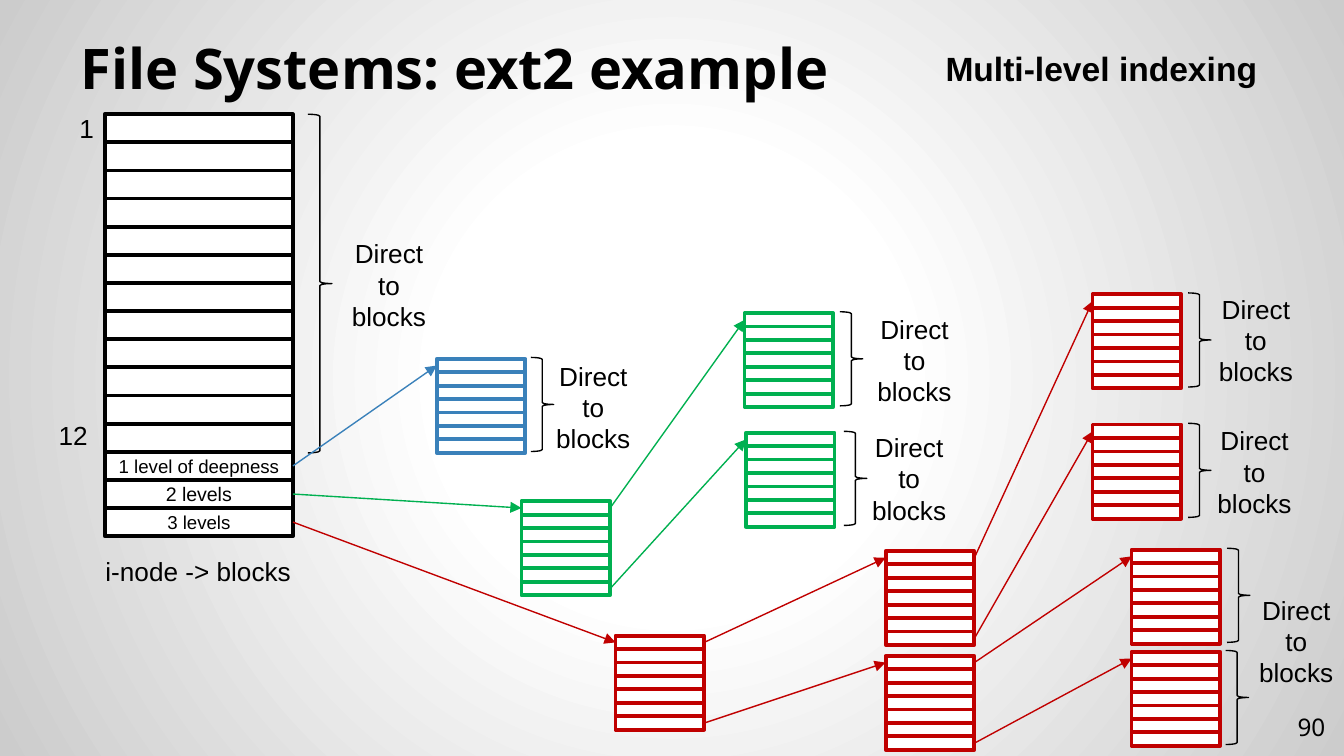
from dataclasses import dataclass
from typing import Any, Optional

import lxml.etree
import pptx
import pptx.dml.color
import pptx.enum.shapes
import pptx.enum.text
import pptx.oxml
import pptx.oxml.ns
import pptx.util

# The slide is a grid of 100 columns; rows are as high as columns are wide.
WIDE = pptx.util.Inches(10)
HIGH = WIDE * 9 // 16
CELL = WIDE / 100

KIND = pptx.enum.shapes.MSO_SHAPE
ALIGN = pptx.enum.text.PP_ALIGN
ANCHOR = pptx.enum.text.MSO_ANCHOR
FIT = pptx.enum.text.MSO_AUTO_SIZE


@dataclass(frozen=True)
class Theme:
    ink: str = "000000"
    paper: str = "FFFFFF"
    edge: str = "CCCCCC"
    blue: str = "3A81BA"
    green: str = "00B050"
    red: str = "C00000"
    body: str = "Arial"
    head: str = "Noto Sans"
    title: float = 30
    topic: float = 18
    note: float = 14
    page: float = 13
    label: float = 10
    thick: float = 2
    thin: float = 0.75


LOOK = Theme()


@dataclass(frozen=True)
class Box:
    col: float
    row: float
    cols: float
    rows: float


@dataclass(frozen=True)
class Node:
    """An index block, the parent row that points to it, and its brace column."""
    name: str
    col: float
    row: float
    hue: str
    source: str
    slot: int
    brace: Optional[float] = None


@dataclass(frozen=True)
class Label:
    text: str
    box: Box
    size: float = LOOK.note
    bold: bool = False


INODE = Box(7.8, 8.5, 14, 31.4)
LEVELS = {12: ("1 level of deepness", 10), 13: ("2 levels", 10.5), 14: ("3 levels", 10)}
BLOCK = Box(0, 0, 6.6, 7)

NODES = [
    Node("single", 32.5, 26.7, LOOK.blue, "inode", 12, 39.5),
    Node("double", 38.8, 37.3, LOOK.green, "inode", 13),
    Node("triple", 45.8, 47.3, LOOK.red, "inode", 14),
    Node("double a", 55.4, 23.3, LOOK.green, "double", 0, 62.5),
    Node("double b", 55.5, 32.2, LOOK.green, "double", 6, 62.8),
    Node("triple a", 65.9, 41, LOOK.red, "triple", 0),
    Node("triple b", 65.9, 48.8, LOOK.red, "triple", 6),
    Node("leaf a", 81.3, 21.9, LOOK.red, "triple a", 0, 88.4),
    Node("leaf b", 81.3, 31.6, LOOK.red, "triple a", 6, 88.4),
    Node("leaf c", 84.2, 40.9, LOOK.red, "triple b", 0, 91.3),
    Node("leaf d", 84.2, 48.5, LOOK.red, "triple b", 6, 91.2),
]

SPOTS = [(24.6, 17.2), (39.8, 26.3), (63.7, 22.8), (63.3, 31.6),
         (89.1, 21.3), (89, 31.1), (92.1, 43.7)]
LABELS = [
    Label("Multi-level indexing", Box(68.9, 3.1, 26.1, 4), LOOK.topic, True),
    Label("i-node -> blocks", Box(4.2, 40.8, 21.1, 3.4)),
    Label("1", Box(4.8, 7.9, 3.3, 3.4)),
    Label("12", Box(2.8, 30.7, 5.3, 3.4)),
    *(Label("Direct to blocks", Box(col, row, 8.7, 8.1)) for col, row in SPOTS),
]


def rgb(code: str) -> pptx.dml.color.RGBColor:
    return pptx.dml.color.RGBColor.from_string(code)


def frame(box: Box) -> list[int]:
    """Turn grid units into left, top, width and height."""
    return [round(part * CELL) for part in (box.col, box.row, box.cols, box.rows)]


def write(shape: Any, text: str, size: float, align: Any = ALIGN.CENTER,
          face: str = LOOK.body, bold: bool = False) -> None:
    shape.text_frame.text = text
    line = shape.text_frame.paragraphs[0]
    line.alignment = align
    font = line.runs[0].font
    font.name, font.size, font.bold = face, pptx.util.Pt(size), bold
    font.color.rgb = rgb(LOOK.ink)


def pad(shape: Any, anchor: Any) -> None:
    """Give a text frame equal insets and a fixed size."""
    text = shape.text_frame
    text.word_wrap, text.auto_size = True, FIT.NONE
    text.vertical_anchor = anchor
    text.margin_left = text.margin_right = round(CELL)
    text.margin_top = text.margin_bottom = round(CELL)


def paint(slide: Any) -> None:
    """Fill the background with a round gradient."""
    fill = slide.background.fill
    fill.gradient()
    tag = pptx.oxml.ns.qn("a:gradFill")
    old = next(slide.element.iter(tag))
    stops = "".join(f'<a:gs pos="{pos}000"><a:srgbClr val="{hue}"/></a:gs>' for pos, hue in
                    ((0, LOOK.paper), (30, LOOK.paper), (100, LOOK.edge)))
    new = pptx.oxml.parse_xml(
        f'<a:gradFill {pptx.oxml.ns.nsdecls("a")} rotWithShape="1"><a:gsLst>{stops}</a:gsLst>'
        '<a:path path="circle"><a:fillToRect l="50000" t="50000" r="50000" b="50000"/>'
        '</a:path></a:gradFill>')
    old.getparent().replace(old, new)


def stack(slide: Any, box: Box, count: int, hue: str) -> list[Any]:
    """Draw a group of equal rows and return them."""
    group = slide.shapes.add_group_shape()
    step = box.rows / count
    rows = []
    for index in range(count):
        place = Box(box.col, box.row + index * step, box.cols, step)
        row = group.shapes.add_shape(KIND.RECTANGLE, *frame(place))
        row.shadow.inherit = False
        row.fill.solid()
        row.fill.fore_color.rgb = rgb(LOOK.paper)
        row.line.color.rgb = rgb(hue)
        row.line.width = pptx.util.Pt(LOOK.thick)
        rows.append(row)
    return rows


def brace(slide: Any, box: Box) -> None:
    shape = slide.shapes.add_shape(KIND.RIGHT_BRACE, *frame(box))
    shape.shadow.inherit = False
    shape.fill.background()
    shape.line.color.rgb = rgb(LOOK.ink)
    shape.line.width = pptx.util.Pt(LOOK.thin)


def arrow(slide: Any, start: Any, end: Any, hue: str) -> None:
    link = slide.shapes.add_connector(pptx.enum.shapes.MSO_CONNECTOR.STRAIGHT, 0, 0, 0, 0)
    link.begin_connect(start, 3)
    link.end_connect(end, 1)
    link.line.color.rgb = rgb(hue)
    link.line.width = pptx.util.Pt(LOOK.thin)
    qn = pptx.oxml.ns.qn
    lxml.etree.SubElement(link.line._get_or_add_ln(), qn("a:tailEnd"), type="triangle")
    lxml.etree.SubElement(link._element.spPr, qn("a:effectLst"))


def main() -> None:
    deck = pptx.Presentation()
    deck.slide_width, deck.slide_height = WIDE, HIGH
    slide = deck.slides.add_slide(deck.slide_layouts[5])
    paint(slide)

    title = slide.shapes.title
    title.left, title.top, title.width, title.height = frame(Box(5, 2.3, 90, 6.2))
    pad(title, ANCHOR.BOTTOM)
    write(title, "File Systems: ext2 example", LOOK.title, ALIGN.LEFT, LOOK.head, True)

    page = slide.shapes.add_textbox(*frame(Box(93.6, 51.9, 6, 4.3)))
    pad(page, ANCHOR.MIDDLE)
    write(page, "90", LOOK.page, ALIGN.RIGHT, LOOK.head)

    stacks = {"inode": stack(slide, INODE, 15, LOOK.ink)}
    for index, (text, size) in LEVELS.items():
        write(stacks["inode"][index], text, size)
    brace(slide, Box(22.9, INODE.row, 1.8, 25.2))

    for node in NODES:
        box = Box(node.col, node.row, BLOCK.cols, BLOCK.rows)
        stacks[node.name] = stack(slide, box, 7, node.hue)
        arrow(slide, stacks[node.source][node.slot], stacks[node.name][0], node.hue)
        if node.brace is not None:
            brace(slide, Box(node.brace, node.row - 0.1, 1.7, BLOCK.rows))

    for label in LABELS:
        shape = slide.shapes.add_textbox(*frame(label.box))
        shape.text_frame.word_wrap = True
        shape.text_frame.auto_size = FIT.SHAPE_TO_FIT_TEXT
        write(shape, label.text, label.size, bold=label.bold)

    deck.save("out.pptx")


if __name__ == "__main__":
    main()
